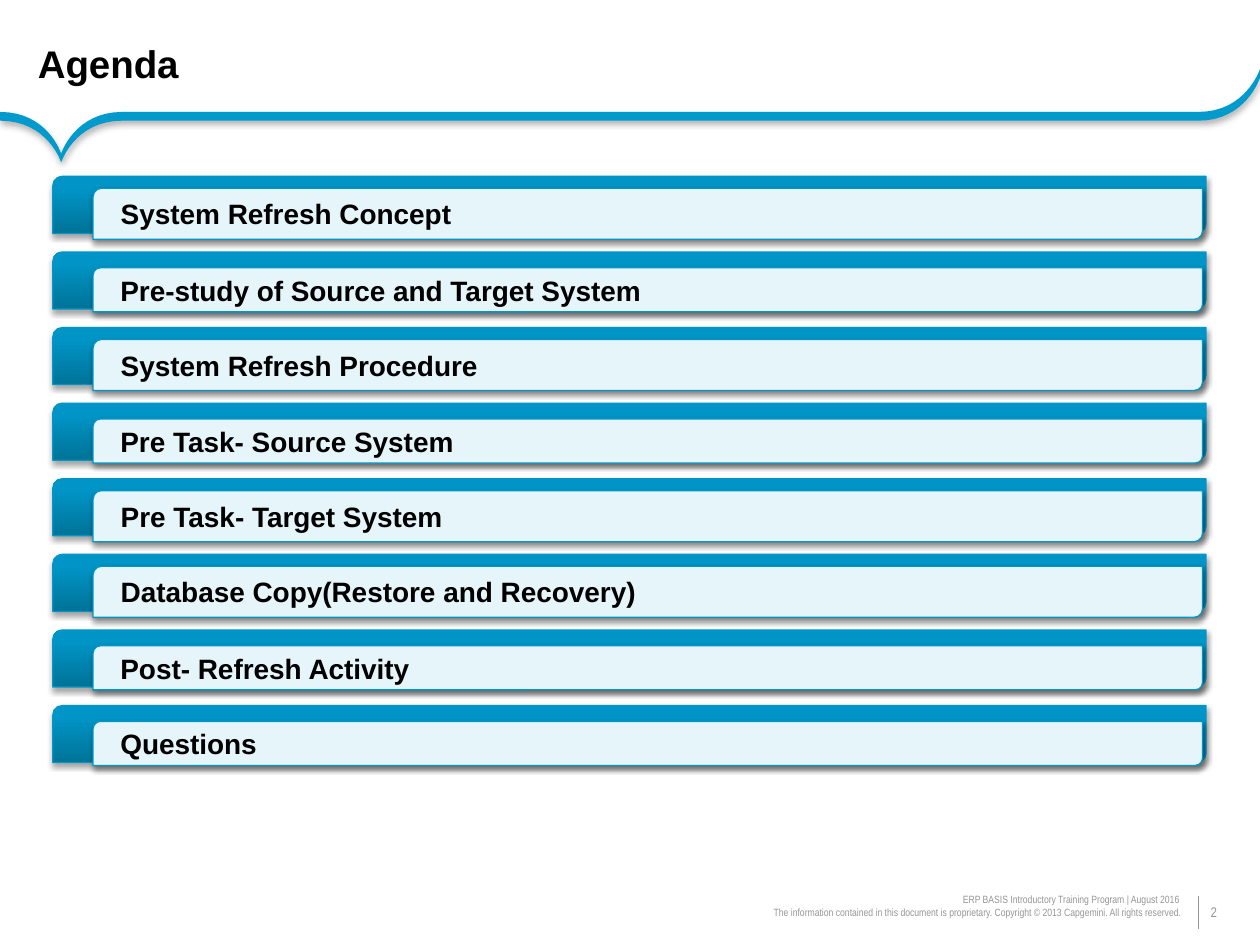
from copy import deepcopy
from dataclasses import dataclass

from lxml.etree import SubElement
from pptx import Presentation
from pptx.dml.color import RGBColor
from pptx.enum.shapes import MSO_CONNECTOR, MSO_SHAPE
from pptx.enum.text import MSO_ANCHOR, MSO_AUTO_SIZE, PP_ALIGN
from pptx.oxml.ns import qn
from pptx.util import Pt


@dataclass(frozen=True)
class Theme:
    ink: str = "000000"
    ribbon: str = "009ACC"
    outline: str = "0097C8"
    panel: str = "E5F5F9"
    muted: str = "969696"
    bar_stops: tuple = ((0, "007398"), (0.8, "0095C6"), (1, "0096C7"))
    heading_font: str = "Arial"
    footer_font: str = "Arial Narrow"
    title_size: float = 22
    item_size: float = 16
    number_size: float = 8
    footer_size: float = 6
    line_width: float = 0.75


THEME = Theme()

AGENDA = [
    # item, tall panel
    ("System Refresh Concept", True),
    ("Pre-study of Source and Target System", False),
    ("System Refresh Procedure", True),
    ("Pre Task- Source System", False),
    ("Pre Task- Target System", True),
    ("Database Copy(Restore and Recovery)", True),
    ("Post- Refresh Activity", False),
    ("Questions", False),
]


def color(value):
    return RGBColor.from_string(value)


def points(*values):
    return [Pt(value) for value in values]


def set_attributes(target, values):
    for name, value in values.items():
        setattr(target, name, value)


def add_shadow(shape, opacity, blur, distance):
    """Give the shape a soft black shadow straight below it."""
    shape.shadow.inherit = False
    effects = shape._element.spPr.find(qn("a:effectLst"))
    shadow = SubElement(effects, qn("a:outerShdw"), blurRad=str(Pt(blur)),
                        dist=str(Pt(distance)), dir="5400000", rotWithShape="0")
    black = SubElement(shadow, qn("a:srgbClr"), val="000000")
    SubElement(black, qn("a:alpha"), val=str(opacity * 1000))


def write_text(shape, text, font, insets=(7.2, 3.6, 7.2, 3.6), wrap=True,
               anchor=MSO_ANCHOR.MIDDLE, align=PP_ALIGN.LEFT, spacing=1.0):
    frame = shape.text_frame
    frame.text = text
    sides = ("margin_left", "margin_top", "margin_right", "margin_bottom")
    set_attributes(frame, dict(zip(sides, points(*insets))))
    set_attributes(frame, {"word_wrap": wrap, "vertical_anchor": anchor,
                           "auto_size": MSO_AUTO_SIZE.NONE})
    paragraph = frame.paragraphs[0]
    set_attributes(paragraph, {"alignment": align, "line_spacing": spacing,
                               "space_before": Pt(0)})
    name, size, bold, ink = font
    set_attributes(paragraph.font, {"name": name, "size": Pt(size), "bold": bold})
    paragraph.font.color.rgb = color(ink)


def curve(start, first, second, end, steps=16):
    """Points along a cubic curve, start and end included."""
    result = []
    for step in range(steps + 1):
        t = step / steps
        weights = ((1 - t) ** 3, 3 * t * (1 - t) ** 2, 3 * t * t * (1 - t), t ** 3)
        corners = (start, first, second, end)
        result.append(tuple(sum(weight * corner[axis] for weight, corner
                                in zip(weights, corners)) for axis in (0, 1)))
    return result


def add_title(slide, left, top, width, height):
    title = slide.shapes.title
    set_attributes(title, dict(zip(("left", "top", "width", "height"),
                                   points(left, top, width, height))))
    write_text(title, "Agenda", (THEME.heading_font, THEME.title_size, True, THEME.ink),
               insets=(21.6, 2.9, 0, 0))


def add_ribbon(slide, left, top, width, height):
    """Band with a pointed dip at the left and an upturned right end."""
    thickness = 5
    right, level, dip = left + width, top + 24.4, top + height - thickness
    tip = (left + 35, dip)
    edge = curve((left, level), (left + 27.5, level), tip, tip)
    edge += curve(tip, tip, (left + 42.5, level), (left + 70, level))
    edge += curve((right - 35, level), (right - 8, level), (right, top), (right, top))
    outline = edge + [(x, y + thickness) for x, y in reversed(edge)]
    outline = [points(x, y) for x, y in outline]
    builder = slide.shapes.build_freeform(*outline[0], scale=1.0)
    builder.add_line_segments(outline[1:], close=True)
    ribbon = builder.convert_to_shape()
    ribbon.fill.solid()
    ribbon.fill.fore_color.rgb = color(THEME.ribbon)
    ribbon.line.fill.background()
    add_shadow(ribbon, 31, 4, 2)


def add_plate(slide, left, top, width, height):
    plate = slide.shapes.add_shape(MSO_SHAPE.ROUND_2_DIAG_RECTANGLE,
                                   *points(left, top, width, height))
    plate.line.color.rgb = color(THEME.outline)
    plate.line.width = Pt(THEME.line_width)
    return plate


def fill_gradient(shape):
    shape.fill.gradient()
    shape.fill.gradient_angle = 90
    stop_list = shape._element.spPr.find(".//" + qn("a:gsLst"))
    stop_list.append(deepcopy(stop_list[-1]))
    for stop, (position, value) in zip(shape.fill.gradient_stops, THEME.bar_stops):
        stop.position = position
        stop.color.rgb = color(value)


def add_agenda(slide, left, top, width, pitch):
    # Bars behind
    for row in range(len(AGENDA)):
        bar = add_plate(slide, left, top + row * pitch, width, 32.6)
        fill_gradient(bar)
        add_shadow(bar, 35, 3.1, 1.8)
    # Labelled panels in front
    for row, (item, tall) in enumerate(AGENDA):
        offset, height = (6.8, 29.2) if tall else (9, 25.2)
        panel = add_plate(slide, left + 23, top + row * pitch + offset, width - 25, height)
        panel.fill.solid()
        panel.fill.fore_color.rgb = color(THEME.panel)
        add_shadow(panel, 38, 3.1, 1.6)
        write_text(panel, item, (THEME.heading_font, THEME.item_size, True, THEME.ink),
                   insets=(14.4, 3.6, 7.2, 3.6))


def add_footer(slide, left, top, width, height):
    divider = left + width - 35.3
    # Divider
    line = slide.shapes.add_connector(
        MSO_CONNECTOR.STRAIGHT, *points(divider, top + 6.5, divider, top + height))
    line.line.color.rgb = color(THEME.muted)
    line.line.width = Pt(THEME.line_width)
    SubElement(line._element.spPr, qn("a:effectLst"))
    # Page number, notice and programme name
    right_aligned = {"align": PP_ALIGN.RIGHT}
    labels = [
        ("2", (divider, top + 6.5, 35.3, 19.4), THEME.number_size, {"spacing": 0.85}),
        ("The information contained in this document\u00a0is proprietary. "
         "Copyright © 2013 Capgemini. All rights reserved.",
         (left, top + 10.1, 358.6, 13.7), THEME.footer_size,
         {"spacing": 0.85, "anchor": MSO_ANCHOR.TOP, **right_aligned}),
        ("ERP BASIS Introductory Training Program | August 2016",
         (left + 203, top, 150.5, 15.1), THEME.footer_size,
         {"anchor": MSO_ANCHOR.BOTTOM, "wrap": False,
          "insets": (2.9, 2.9, 2.9, 2.9), **right_aligned}),
    ]
    for text, box, size, layout in labels:
        label = slide.shapes.add_textbox(*points(*box))
        write_text(label, text, (THEME.footer_font, size, False, THEME.muted), **layout)


def main():
    presentation = Presentation()
    presentation.slide_width, presentation.slide_height = points(720, 540)
    slide = presentation.slides.add_slide(presentation.slide_layouts[5])
    add_footer(slide, 323.3, 505.4, 396.7, 25.2)
    add_ribbon(slide, 0, 39.6, 720, 53.3)
    add_title(slide, 0, 2.2, 694.8, 64.8)
    add_agenda(slide, 30.2, 100.8, 659, 43.2)
    presentation.save("out.pptx")


if __name__ == "__main__":
    main()
